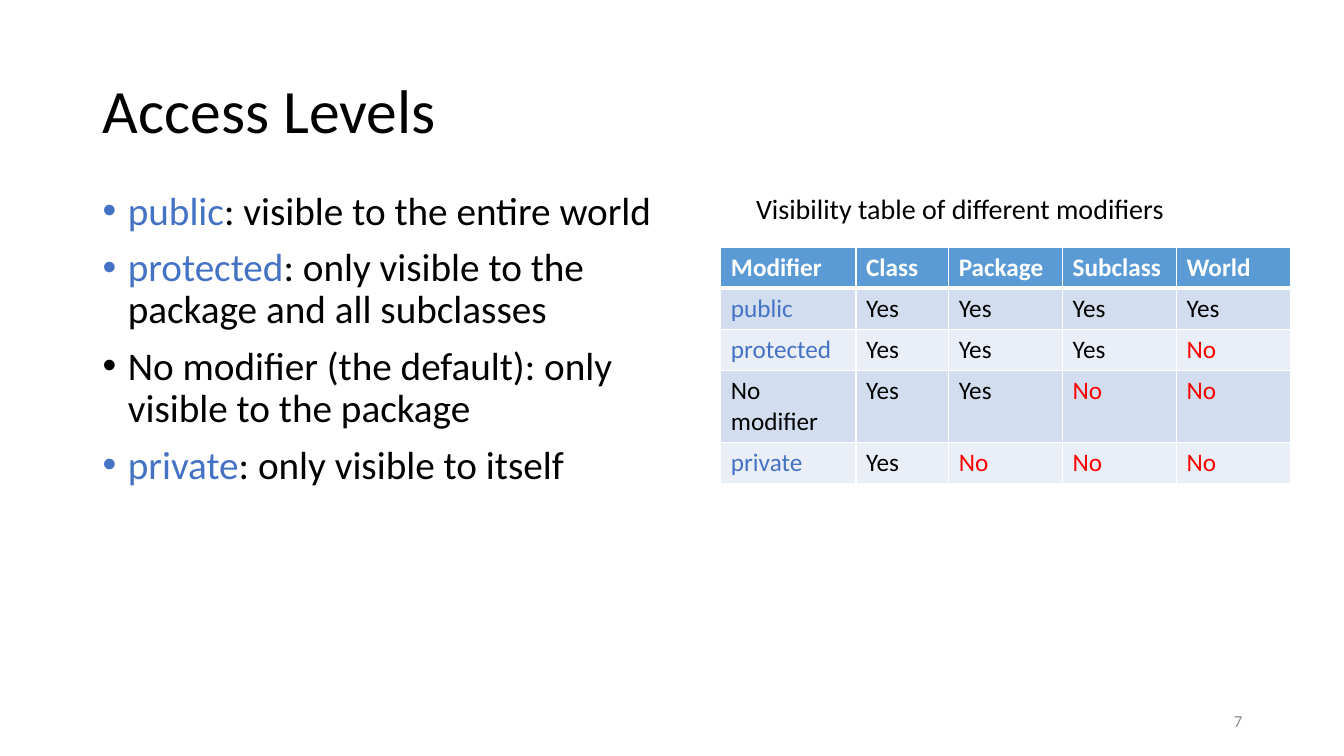
from dataclasses import dataclass

from lxml import etree
from pptx import Presentation
from pptx.dml.color import RGBColor
from pptx.enum.text import MSO_ANCHOR, MSO_AUTO_SIZE, PP_ALIGN
from pptx.oxml.ns import qn
from pptx.util import Inches, Pt

LEFT, RIGHT = PP_ALIGN.LEFT, PP_ALIGN.RIGHT
TOP, MIDDLE = MSO_ANCHOR.TOP, MSO_ANCHOR.MIDDLE
NO_AUTOFIT = MSO_AUTO_SIZE.NONE


@dataclass(frozen=True)
class Theme:
    font: str = "Calibri"
    title_size: int = 44
    body_size: int = 28
    caption_size: int = 20
    table_size: int = 18
    number_size: int = 12
    text: str = "000000"
    keyword: str = "4472C4"
    denied: str = "FF0000"
    muted: str = "8C8C8C"
    white: str = "FFFFFF"
    header: str = "5B9BD5"
    bands: tuple = ("D2DEEF", "EAEFF7")


THEME = Theme()
KEYWORDS = ("public", "protected", "private")
BULLETS = [
    ("public", ": visible to the entire world"),
    ("protected", ": only visible to the package and all subclasses"),
    ("No modifier (the default): only visible to the package",),
    ("private", ": only visible to itself"),
]
VISIBILITY = [
    ("Modifier", "Class", "Package", "Subclass", "World"),
    ("public", "Yes", "Yes", "Yes", "Yes"),
    ("protected", "Yes", "Yes", "Yes", "No"),
    ("No modifier", "Yes", "Yes", "No", "No"),
    ("private", "Yes", "No", "No", "No"),
]
COLUMN_WIDTHS = (1.34, 0.92, 1.13, 1.13, 1.13)
ROW_HEIGHT = 0.41


def set_values(target, values):
    for name, value in values.items():
        setattr(target, name, value)


def text_color(text):
    if text in KEYWORDS:
        return THEME.keyword
    return THEME.denied if text == "No" else THEME.text


def add_run(paragraph, text, size, color, bold=False):
    run = paragraph.add_run()
    run.text = text
    set_values(run.font, {"name": THEME.font, "size": Pt(size), "bold": bold})
    run.font.color.rgb = RGBColor.from_string(color)


def add_text_box(slide, box, anchor=TOP):
    shape = slide.shapes.add_textbox(*map(Inches, box))
    set_values(shape.text_frame, {"word_wrap": True, "vertical_anchor": anchor})
    return shape.text_frame


def add_title(slide, box, text):
    title = slide.shapes.title
    position = dict(zip(("left", "top", "width", "height"), map(Inches, box)))
    set_values(title, position)
    frame = title.text_frame
    set_values(frame, {"vertical_anchor": MIDDLE, "auto_size": NO_AUTOFIT})
    paragraph = frame.paragraphs[0]
    set_values(paragraph, {"alignment": LEFT, "line_spacing": 0.9})
    add_run(paragraph, text, THEME.title_size, THEME.text)


def add_bullets(slide, box, items):
    frame = add_text_box(slide, box)
    for index, parts in enumerate(items):
        paragraph = frame.add_paragraph() if index else frame.paragraphs[0]
        set_values(paragraph, {"line_spacing": 0.9, "space_before": Pt(10)})
        properties = paragraph._p.get_or_add_pPr()
        properties.set("marL", str(Inches(0.25)))
        properties.set("indent", str(-Inches(0.25)))
        etree.SubElement(properties, qn("a:buFont"), typeface="Arial")
        etree.SubElement(properties, qn("a:buChar"), char="•")
        for part in parts:
            add_run(paragraph, part, THEME.body_size, text_color(part))


def add_line(slide, box, text, size, color, alignment=LEFT, anchor=TOP):
    paragraph = add_text_box(slide, box, anchor).paragraphs[0]
    paragraph.alignment = alignment
    add_run(paragraph, text, size, color)


def set_borders(cell, widths):
    properties = cell._tc.get_or_add_tcPr()
    for side, width in widths.items():
        line = etree.SubElement(properties, qn(f"a:ln{side}"), w=str(Pt(width)))
        fill = etree.SubElement(line, qn("a:solidFill"))
        etree.SubElement(fill, qn("a:srgbClr"), val=THEME.white)


def format_cell(cell, text, row_index):
    is_header = row_index == 0
    set_borders(cell, {
        "L": 1,
        "R": 1,
        "T": 3 if row_index == 1 else 1,
        "B": 3 if is_header else 1,
    })
    fill = THEME.header if is_header else THEME.bands[(row_index - 1) % 2]
    cell.fill.solid()
    cell.fill.fore_color.rgb = RGBColor.from_string(fill)
    color = THEME.white if is_header else text_color(text)
    add_run(cell.text_frame.paragraphs[0], text, THEME.table_size, color, is_header)


def add_visibility_table(slide, left, top, rows):
    width, height = sum(COLUMN_WIDTHS), ROW_HEIGHT * len(rows)
    box = map(Inches, (left, top, width, height))
    table = slide.shapes.add_table(len(rows), len(COLUMN_WIDTHS), *box).table
    for column, column_width in zip(table.columns, COLUMN_WIDTHS):
        column.width = Inches(column_width)
    for row_index, texts in enumerate(rows):
        table.rows[row_index].height = Inches(ROW_HEIGHT)
        for column_index, text in enumerate(texts):
            format_cell(table.cell(row_index, column_index), text, row_index)


def build_access_slide(presentation):
    slide = presentation.slides.add_slide(presentation.slide_layouts[5])
    add_title(slide, (0.92, 0.4, 11.5, 1.45), "Access Levels")
    add_visibility_table(slide, 7.15, 2.45, VISIBILITY)
    add_bullets(slide, (0.92, 1.85, 5.67, 4.76), BULLETS)
    add_line(slide, (7.4, 1.85, 4.88, 0.44),
             "Visibility table of different modifiers",
             THEME.caption_size, THEME.text)
    add_line(slide, (9.42, 6.95, 3, 0.4), "7",
             THEME.number_size, THEME.muted, RIGHT, MIDDLE)


def main():
    presentation = Presentation()
    set_values(presentation, {
        "slide_width": Inches(13.33),
        "slide_height": Inches(7.5),
    })
    build_access_slide(presentation)
    presentation.save("out.pptx")


if __name__ == "__main__":
    main()
